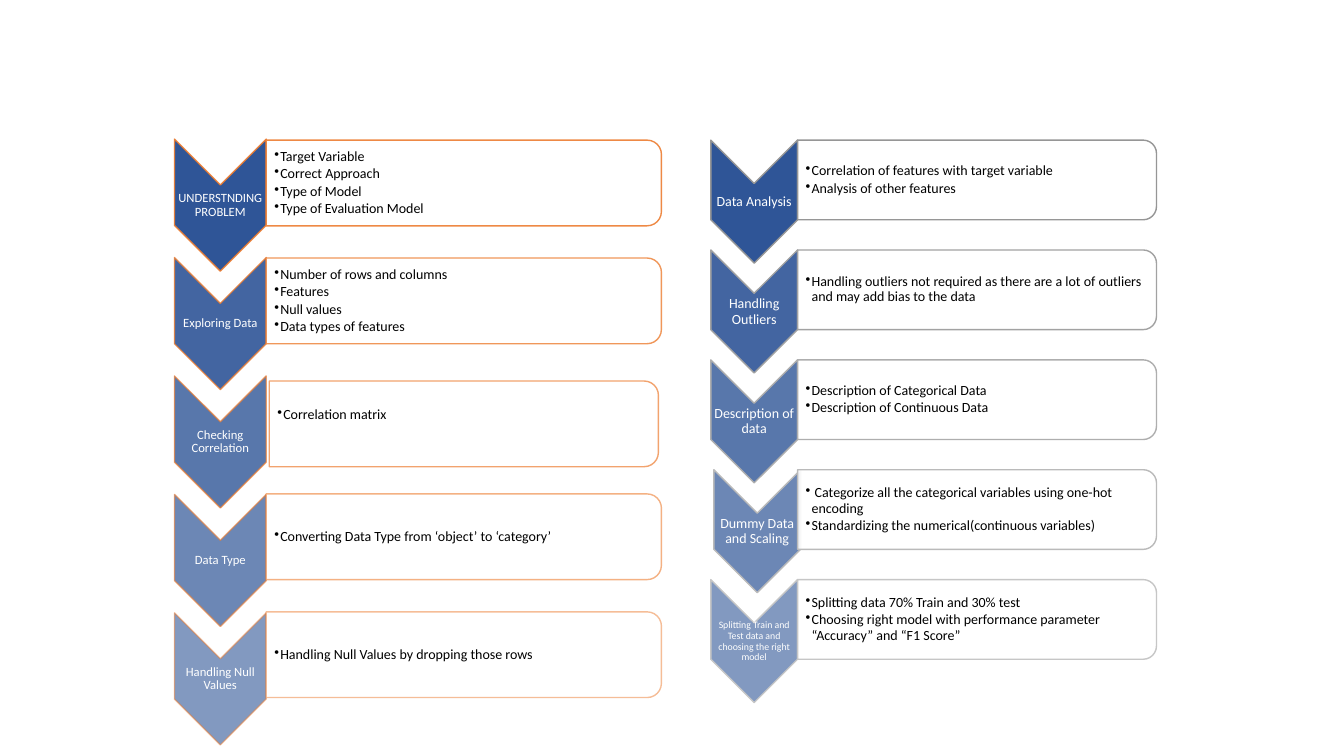
from lxml import etree
from pptx import Presentation
from pptx.dml.color import RGBColor
from pptx.enum.shapes import MSO_SHAPE
from pptx.enum.text import MSO_ANCHOR, PP_ALIGN
from pptx.oxml.ns import qn
from pptx.util import Inches, Pt

CHEVRON = MSO_SHAPE.CHEVRON
ROUNDED_BOX = MSO_SHAPE.ROUND_2_SAME_RECTANGLE
MIDDLE = MSO_ANCHOR.MIDDLE
CENTER = PP_ALIGN.CENTER

THEME = {
    "font": "Calibri", "chevron": "2F5597", "box": "FFFFFF",
    "label": "FFFFFF", "body": "000000", "body_size": 10,
    "line_width": 1, "box_opacity": 90,
}

# Each step: label, bullets, then any departures from its column's grid
COLUMNS = [
    {
        "left": 1.73, "chevron_top": 1.38, "chevron_pitch": 1.175,
        "chevron_width": 0.91, "chevron_height": 1.31,
        "box_top": 1.39, "box_pitch": 1.17, "box_width": 3.92, "box_height": 0.85,
        "label_offset": 0.46, "label_height": 0.39, "label_size": 9,
        "text_width": 3.88, "text_height": 0.77,
        "lines": [("ED7D31", opacity) for opacity in (90, 80, 70, 60, 50)],
        "steps": [
            ("UNDERSTNDING PROBLEM",
             ["Target Variable", "Correct Approach", "Type of Model",
              "Type of Evaluation Model"], {}),
            ("Exploring Data",
             ["Number of rows and columns", "Features", "Null values",
              "Data types of features"], {}),
            ("Checking Correlation", ["Correlation matrix"],
             {"box_shift": 0.05, "box_inset": 0.03, "bottom_inset": 0.18}),
            ("Data Type", ["Converting Data Type from ‘object’ to ‘category’"], {}),
            ("Handling Null Values",
             ["Handling Null Values by dropping those rows"], {}),
        ],
    },
    {
        "left": 7.05, "chevron_top": 1.39, "chevron_pitch": 1.09,
        "chevron_width": 0.86, "chevron_height": 1.22,
        "box_top": 1.39, "box_pitch": 1.09, "box_width": 3.56, "box_height": 0.79,
        "label_offset": 0.43, "label_height": 0.37, "label_size": 10,
        "text_width": 3.52, "text_height": 0.72,
        "lines": [(gray, 100) for gray in
                  ("969696", "A2A2A2", "AEAEAE", "BABABA", "C6C6C6")],
        "steps": [
            ("Data Analysis",
             ["Correlation of features with target variable",
              "Analysis of other features"], {}),
            ("Handling Outliers",
             ["Handling outliers not required as there are a lot of outliers "
              "and may add bias to the data"], {}),
            ("Description of data",
             ["Description of Categorical Data",
              "Description of Continuous Data"], {}),
            ("Dummy Data and Scaling",
             [" Categorize all the categorical variables using one-hot encoding",
              "Standardizing the numerical(continuous variables)"],
             {"chevron_shift": 0.03}),
            ("Splitting Train and Test data and choosing the right model",
             ["Splitting data 70% Train and 30% test",
              "Choosing right model with performance parameter "
              "“Accuracy” and “F1 Score”"], {"label_size": 7, "label_inset": 0}),
        ],
    },
]


def add_turned_shape(group, kind, left, top, width, height, fill, line):
    """Add a preset turned by 90 degrees that covers the given area."""
    shape = group.shapes.add_shape(
        kind, Inches(left + (width - height) / 2), Inches(top + (height - width) / 2),
        Inches(height), Inches(width))
    shape.rotation = 90
    shape.shadow.inherit = False
    shape.fill.solid()
    shape.line.fill.solid()
    shape.line.width = Pt(THEME["line_width"])
    for paint, (color, opacity) in ((shape.fill, fill), (shape.line.fill, line)):
        paint.fore_color.rgb = RGBColor.from_string(color)
    properties = shape.element.spPr
    for parent, opacity in ((properties, fill[1]), (properties.find(qn("a:ln")), line[1])):
        if opacity < 100:
            color_element = parent.find(qn("a:solidFill"))[0]
            etree.SubElement(color_element, qn("a:alpha"), val=str(opacity * 1000))


def add_text(group, left, top, width, height, texts, size, color, insets, bulleted):
    """Add a text box holding a centred label or a bulleted list."""
    box = group.shapes.add_textbox(Inches(left), Inches(top), Inches(width), Inches(height))
    frame = box.text_frame
    frame.word_wrap = True
    frame.vertical_anchor = MIDDLE
    frame.margin_left, frame.margin_top, frame.margin_right, frame.margin_bottom = map(
        Inches, insets)
    for index, text in enumerate(texts):
        paragraph = frame.paragraphs[0] if index == 0 else frame.add_paragraph()
        paragraph.line_spacing = 0.9
        paragraph.space_after = Pt(size * (0.15 if bulleted else 0.35))
        if bulleted:
            paragraph.level = 1
            properties = paragraph._p.get_or_add_pPr()
            properties.set("marL", str(Inches(0.06)))
            properties.set("indent", str(-Inches(0.06)))
            etree.SubElement(properties, qn("a:buChar"), char="•")
        else:
            paragraph.alignment = CENTER
        run = paragraph.add_run()
        run.text = text
        run.font.name = THEME["font"]
        run.font.size = Pt(size)
        run.font.color.rgb = RGBColor.from_string(color)


presentation = Presentation()
presentation.slide_width = Inches(13.33)
presentation.slide_height = Inches(7.5)
slide = presentation.slides.add_slide(presentation.slide_layouts[6])

for column in COLUMNS:
    group = slide.shapes.add_group_shape()
    for row, (label, bullets, changes) in enumerate(column["steps"]):
        line = column["lines"][row]

        # Chevron and its label
        left = column["left"] + changes.get("chevron_shift", 0)
        top = column["chevron_top"] + row * column["chevron_pitch"]
        add_turned_shape(group, CHEVRON, left, top, column["chevron_width"],
                         column["chevron_height"], (THEME["chevron"], 100 - 10 * row), line)
        add_text(group, left, top + column["label_offset"], column["chevron_width"],
                 column["label_height"], [label],
                 changes.get("label_size", column["label_size"]), THEME["label"],
                 [changes.get("label_inset", 0.01)] * 4, False)

        # Box and its bullets
        inset = changes.get("box_inset", 0)
        left = column["left"] + column["chevron_width"] + inset
        top = column["box_top"] + row * column["box_pitch"] + changes.get("box_shift", 0)
        add_turned_shape(group, ROUNDED_BOX, left, top, column["box_width"] - 2 * inset,
                         column["box_height"], (THEME["box"], THEME["box_opacity"]), line)
        add_text(group, left, top + (column["box_height"] - column["text_height"]) / 2,
                 column["text_width"] - 2 * inset, column["text_height"], bullets,
                 THEME["body_size"], THEME["body"],
                 [0.08, 0.01, 0.01, changes.get("bottom_inset", 0.01)], True)

presentation.save("out.pptx")
